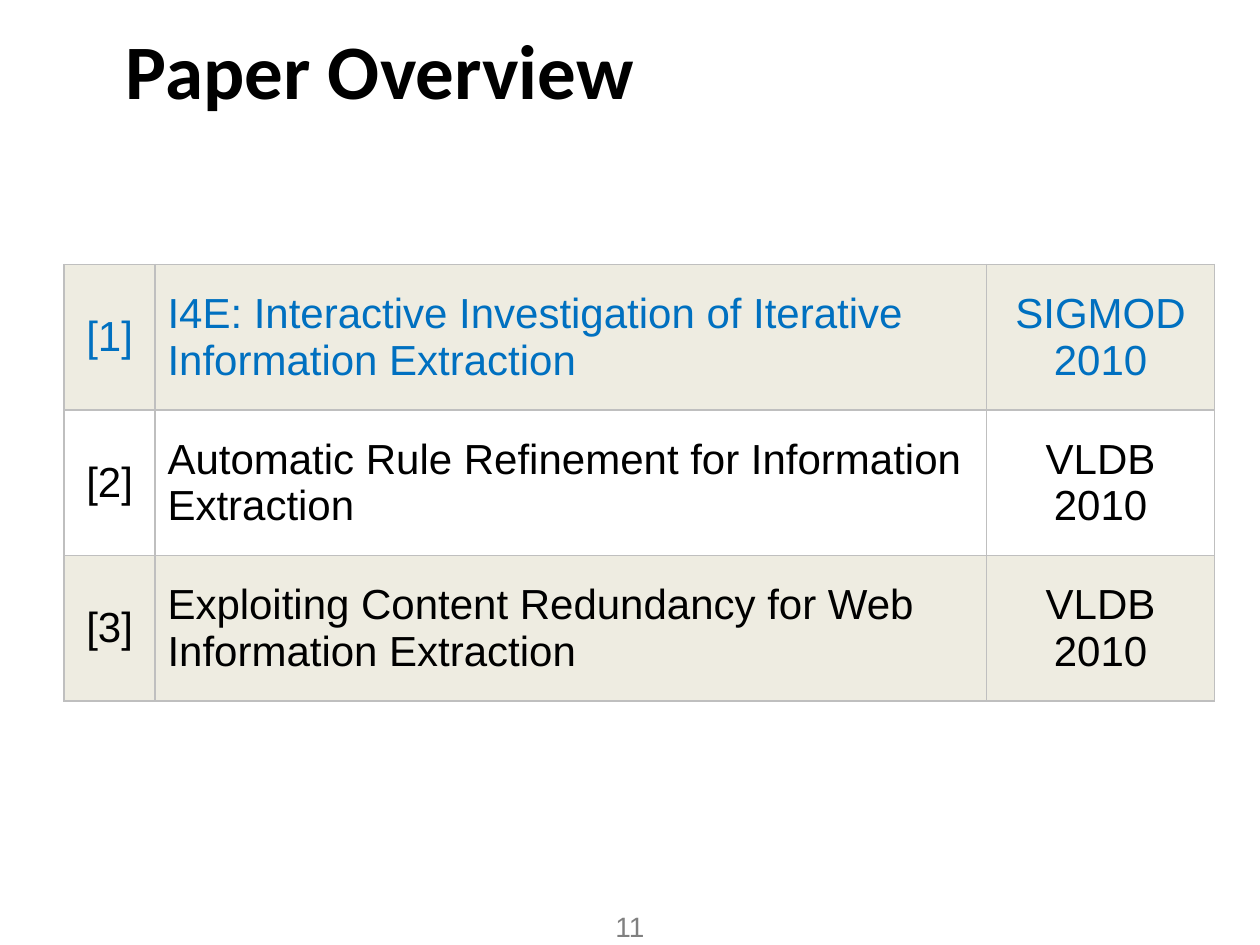
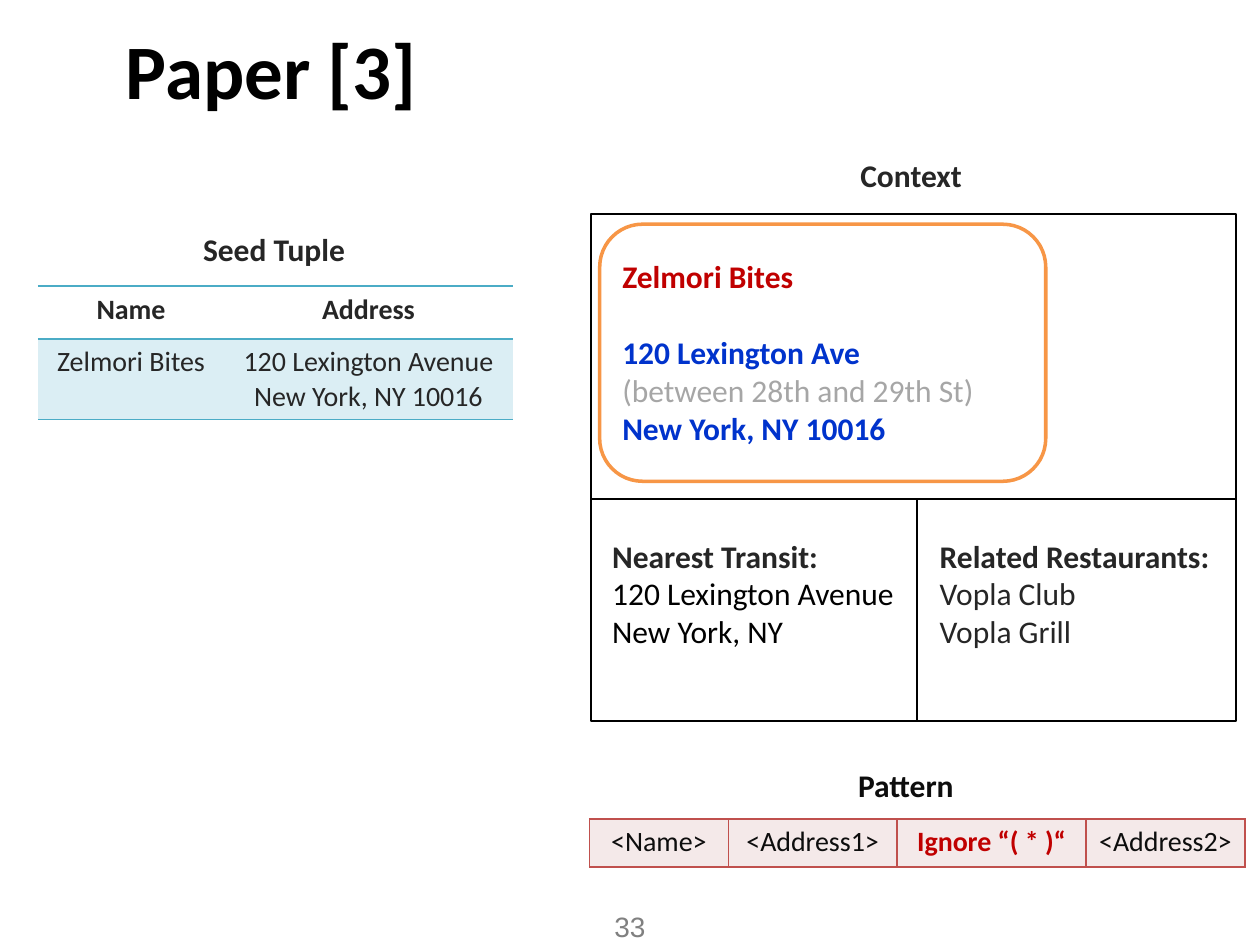
from dataclasses import dataclass
from typing import NamedTuple, Optional

from lxml.etree import SubElement
from pptx import Presentation
from pptx.dml.color import RGBColor
from pptx.enum.shapes import MSO_CONNECTOR, MSO_SHAPE
from pptx.enum.text import MSO_ANCHOR as Anchor, PP_ALIGN as Align
from pptx.oxml import parse_xml
from pptx.oxml.ns import nsdecls, qn
from pptx.util import Emu, Inches, Pt

WIDTH, HEIGHT = Inches(10), Inches(7.5)
COLUMN, ROW = WIDTH / 100, HEIGHT / 75  # the page is a grid of 100 by 75

BLACK = RGBColor(0x00, 0x00, 0x00)
INK = RGBColor(0x26, 0x26, 0x26)
DARK = RGBColor(0x0D, 0x0D, 0x0D)
GREY = RGBColor(0x80, 0x80, 0x80)
PALE_GREY = RGBColor(0xA6, 0xA6, 0xA6)
SILVER = RGBColor(0xBF, 0xBF, 0xBF)
SKY = RGBColor(0x00, 0x70, 0xC0)
BLUE = RGBColor(0x00, 0x33, 0xCC)
RED = RGBColor(0xC0, 0x00, 0x00)
ORANGE = RGBColor(0xF7, 0x96, 0x46)
TEAL = RGBColor(0x4B, 0xAC, 0xC6)
PALE_TEAL = RGBColor(0xDB, 0xEE, 0xF4)
BRICK = RGBColor(0xC0, 0x50, 0x4D)
PALE_BRICK = RGBColor(0xF4, 0xE9, 0xE9)
CREAM = RGBColor(0xEE, 0xEC, 0xE1)

SANS, PLAIN = "Calibri", "Arial"
HEADING_SIZE, BODY_SIZE = 18, 16


class Area(NamedTuple):
    """A place on the grid, in columns and rows."""
    column: float
    row: float
    columns: float
    rows: float

    def lengths(self) -> tuple:
        return (across(self.column), down(self.row),
                across(self.columns), down(self.rows))


class Line(NamedTuple):
    """One paragraph of text."""
    text: str
    color: RGBColor = INK
    bold: bool = False
    gap: float = 0


@dataclass
class Label:
    area: Area
    lines: list
    size: float = HEADING_SIZE
    font: str = SANS
    align: Align = Align.LEFT
    anchor: Anchor = Anchor.TOP


class Cell(NamedTuple):
    lines: list
    fill: Optional[RGBColor] = None
    align: Align = Align.CENTER


@dataclass
class Grid:
    """A table; edges lists the drawn cell sides: L, R, T, B."""
    column: float
    row: float
    columns: list
    rows: list
    cells: list
    border: RGBColor
    edges: str = "LRTB"
    size: float = BODY_SIZE
    font: str = SANS
    anchor: Anchor = Anchor.TOP


def across(columns: float) -> Emu:
    return Emu(round(columns * COLUMN))


def down(rows: float) -> Emu:
    return Emu(round(rows * ROW))


def write(frame, lines: list, size: float, font: str, align: Align) -> None:
    frame.text = "\n".join(line.text for line in lines)
    for para, line in zip(frame.paragraphs, lines):
        para.alignment = align
        if line.gap:
            para.space_before = Pt(line.gap)
        for span in para.runs:
            span.font.name = font
            span.font.size = Pt(size)
            span.font.bold = line.bold
            span.font.color.rgb = line.color


def add_label(page, label: Label) -> None:
    box = page.shapes.add_textbox(*label.area.lengths())
    box.text_frame.word_wrap = True
    box.text_frame.vertical_anchor = label.anchor
    write(box.text_frame, label.lines, label.size, label.font, label.align)


def add_borders(cell, color: RGBColor, edges: str) -> None:
    properties = cell._tc.get_or_add_tcPr()
    for place, side in enumerate("LRTB"):
        paint = (f'<a:solidFill><a:srgbClr val="{color}"/></a:solidFill>'
                 if side in edges else "<a:noFill/>")
        properties.insert(place, parse_xml(
            f'<a:ln{side} {nsdecls("a")} w="{Pt(1)}">{paint}</a:ln{side}>'))


def add_grid(page, grid: Grid) -> None:
    area = Area(grid.column, grid.row, sum(grid.columns), sum(grid.rows))
    table = page.shapes.add_table(len(grid.rows), len(grid.columns),
                                  *area.lengths()).table
    table.first_row = table.horz_banding = False
    for column, columns in zip(table.columns, grid.columns):
        column.width = across(columns)
    for row, rows, contents in zip(table.rows, grid.rows, grid.cells):
        row.height = down(rows)
        for cell, content in zip(row.cells, contents):
            cell.vertical_anchor = grid.anchor
            if content.fill is None:
                cell.fill.background()
            else:
                cell.fill.solid()
                cell.fill.fore_color.rgb = content.fill
            write(cell.text_frame, content.lines, grid.size, grid.font,
                  content.align)
            add_borders(cell, grid.border, grid.edges)


def add_outline(page, kind: MSO_SHAPE, area: Area, color: RGBColor,
                weight: float) -> None:
    shape = page.shapes.add_shape(kind, *area.lengths())
    shape.shadow.inherit = False
    shape.fill.background()
    shape.line.color.rgb = color
    shape.line.width = Pt(weight)


def add_divider(page, start: tuple, end: tuple) -> None:
    divider = page.shapes.add_connector(
        MSO_CONNECTOR.STRAIGHT, across(start[0]), down(start[1]),
        across(end[0]), down(end[1]))
    divider.line.color.rgb = BLACK
    divider.line.width = Pt(1)
    SubElement(divider._element.spPr, qn("a:effectLst"))


def add_page(deck, title: str, number: int):
    """Add a blank page with the shared title and page number."""
    page = deck.slides.add_slide(deck.slide_layouts[6])
    add_label(page, Label(Area(9, 1.3, 82.9, 8), [Line(title, BLACK, True)],
                          size=44))
    add_label(page, Label(Area(45.7, 72.1, 8.6, 2.9),
                          [Line(str(number), GREY)], BODY_SIZE, PLAIN,
                          Align.CENTER, Anchor.MIDDLE))
    return page


def build_overview(deck) -> None:
    page = add_page(deck, "Paper Overview", 11)
    papers = [
        ("I4E: Interactive Investigation of Iterative Information Extraction",
         "SIGMOD 2010", SKY, CREAM),
        ("Automatic Rule Refinement for Information Extraction",
         "VLDB 2010", BLACK, None),
        ("Exploiting Content Redundancy for Web Information Extraction",
         "VLDB 2010", BLACK, CREAM),
    ]
    cells = [[Cell([Line(f"[{number}]", color)], fill),
              Cell([Line(paper, color)], fill, Align.LEFT),
              Cell([Line(venue, color)], fill)]
             for number, (paper, venue, color, fill) in enumerate(papers, 1)]
    add_grid(page, Grid(5.1, 21, [7.2, 66, 18.1], [11.55] * len(papers),
                        cells, SILVER, size=24, font=PLAIN,
                        anchor=Anchor.MIDDLE))


def build_seed(page) -> None:
    header = [Cell([Line(name, INK, True)]) for name in ("Name", "Address")]
    seed = [Cell([Line("Zelmori Bites")], PALE_TEAL),
            Cell([Line("120 Lexington Avenue"), Line("New York, NY 10016")],
                 PALE_TEAL)]
    add_grid(page, Grid(3, 22.7, [14.8, 22.9], [4.2, 6.4], [header, seed],
                        TEAL, edges="TB"))
    add_label(page, Label(Area(5.7, 17.8, 32.1, 4),
                          [Line("Seed Tuple", INK, True)],
                          align=Align.CENTER))


def build_context(page) -> None:
    labels = [
        Label(Area(48.4, 19.9, 32.1, 16.2), [
            Line("Zelmori Bites", RED, True),
            Line("120 Lexington Ave", BLUE, True, gap=22),
            Line("(between 28th and 29th St)", PALE_GREY),
            Line("New York, NY 10016", BLUE, True)]),
        Label(Area(47.6, 42.1, 25.2, 10.1), [
            Line("Nearest Transit:", INK, True),
            Line("120 Lexington Avenue", BLACK),
            Line("New York, NY", BLACK)]),
        Label(Area(73.6, 42.1, 24.4, 10.1), [
            Line("Related Restaurants:", INK, True),
            Line("Vopla Club"),
            Line("Vopla Grill")]),
        Label(Area(67.3, 11.9, 12.6, 4), [Line("Context", INK, True)]),
    ]
    for label in labels:
        add_label(page, label)

    frame = Area(46.9, 17, 51.2, 40.2)
    right, bottom = frame.column + frame.columns, frame.row + frame.rows
    split_column, split_row = 72.8, 39.6
    add_outline(page, MSO_SHAPE.RECTANGLE, frame, BLACK, 1)
    add_divider(page, (frame.column, split_row), (right, split_row))
    add_divider(page, (split_column, split_row), (split_column, bottom))
    add_outline(page, MSO_SHAPE.ROUNDED_RECTANGLE,
                Area(47.6, 17.8, 35.4, 20.4), ORANGE, 2)


def build_pattern(page) -> None:
    add_label(page, Label(Area(58.6, 60.3, 26.6, 4),
                          [Line("Pattern", DARK, True)], align=Align.CENTER))
    steps = [Line("<Name>", DARK), Line("<Address1>", DARK),
             Line("Ignore “( * )“", RED, True), Line("<Address2>", DARK)]
    add_grid(page, Grid(46.8, 65, [11, 13.4, 15, 12.6], [3.8],
                        [[Cell([step], PALE_BRICK) for step in steps]],
                        BRICK))


def main() -> None:
    deck = Presentation()
    deck.slide_width, deck.slide_height = WIDTH, HEIGHT
    build_overview(deck)
    page = add_page(deck, "Paper [3]", 33)
    build_seed(page)
    build_context(page)
    build_pattern(page)
    deck.save("out.pptx")


if __name__ == "__main__":
    main()
